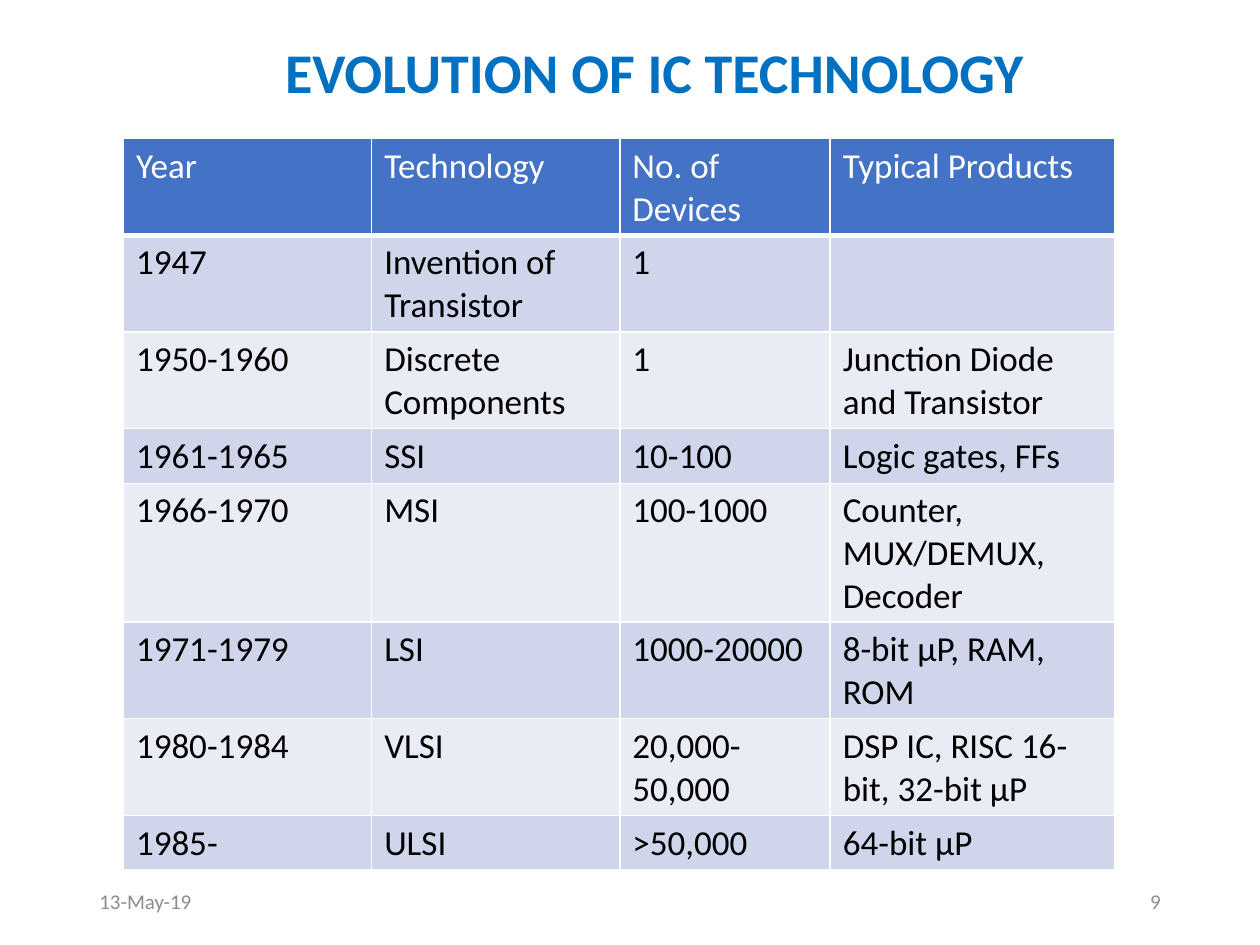
from lxml.etree import SubElement
from pptx import Presentation
from pptx.dml.color import RGBColor
from pptx.enum.text import MSO_ANCHOR, MSO_AUTO_SIZE, PP_ALIGN
from pptx.oxml.ns import qn
from pptx.util import Inches, Pt

# Content
TITLE = "EVOLUTION OF IC TECHNOLOGY"
ROWS = [
    ("Year", "Technology", "No. of Devices", "Typical Products"),
    ("1947", "Invention of Transistor", "1", ""),
    ("1950-1960", "Discrete Components", "1", "Junction Diode and Transistor"),
    ("1961-1965", "SSI", "10-100", "Logic gates, FFs"),
    ("1966-1970", "MSI", "100-1000", "Counter, MUX/DEMUX, Decoder"),
    ("1971-1979", "LSI", "1000-20000", "8-bit µP, RAM, ROM"),
    ("1980-1984", "VLSI", "20,000-50,000", "DSP IC, RISC 16-bit, 32-bit µP"),
    ("1985-", "ULSI", ">50,000", "64-bit µP"),
]
FOOTERS = [  # text, left, alignment
    ("13-May-19", 0.69, PP_ALIGN.LEFT),
    ("9", 7.06, PP_ALIGN.RIGHT),
]
WIDTHS = [1.97, 1.97, 1.67, 2.26]
HEIGHTS = [0.73, 0.73, 0.73, 0.42, 1.05, 0.73, 0.73, 0.42]

# Look
FACE = "Calibri"
BLUE = RGBColor(0x00, 0x70, 0xC0)
HEAD = RGBColor(0x44, 0x72, 0xC4)
BANDS = [RGBColor(0xE9, 0xEB, 0xF5), RGBColor(0xCF, 0xD5, 0xEA)]
WHITE = RGBColor(0xFF, 0xFF, 0xFF)
BLACK = RGBColor(0x00, 0x00, 0x00)
GRAY = RGBColor(0x8C, 0x8C, 0x8C)


def style(para, size, color, bold=False):
    font = para.font
    font.name, font.size, font.bold = FACE, Pt(size), bold
    font.color.rgb = color


def border(cell, base):
    props = cell._tc.get_or_add_tcPr()
    for side, width in (("L", 1), ("R", 1), ("T", 1), ("B", base)):
        line = SubElement(props, qn(f"a:ln{side}"), w=str(Pt(width)))
        fill = SubElement(line, qn("a:solidFill"))
        SubElement(fill, qn("a:srgbClr"), val=str(WHITE))


def add_grid(slide):
    frame = slide.shapes.add_table(
        len(ROWS), len(WIDTHS), Inches(0.98), Inches(1.1),
        Inches(sum(WIDTHS)), Inches(sum(HEIGHTS)))
    table = frame.table
    for col, width in zip(table.columns, WIDTHS):
        col.width = Inches(width)
    for row, height in zip(table.rows, HEIGHTS):
        row.height = Inches(height)
    for r, row in enumerate(ROWS):
        for c, text in enumerate(row):
            cell = table.cell(r, c)
            border(cell, 1 if r else 3)
            cell.fill.solid()
            cell.fill.fore_color.rgb = BANDS[r % 2] if r else HEAD
            cell.text = text
            style(cell.text_frame.paragraphs[0], 20, BLACK if r else WHITE)


def add_title(slide):
    title = slide.shapes.title
    title.left, title.top = Inches(1.26), Inches(0.25)
    title.width, title.height = Inches(7.87), Inches(0.64)
    frame = title.text_frame
    frame.text = TITLE
    frame.vertical_anchor = MSO_ANCHOR.TOP
    frame.auto_size = MSO_AUTO_SIZE.SHAPE_TO_FIT_TEXT
    para = frame.paragraphs[0]
    para.alignment = PP_ALIGN.CENTER
    style(para, 32, BLUE, True)


def add_footer(slide, text, left, align):
    box = slide.shapes.add_textbox(
        Inches(left), Inches(6.95), Inches(2.25), Inches(0.4))
    frame = box.text_frame
    frame.word_wrap = True
    frame.vertical_anchor = MSO_ANCHOR.MIDDLE
    frame.text = text
    para = frame.paragraphs[0]
    para.alignment = align
    style(para, 12, GRAY)


def main():
    deck = Presentation()
    deck.slide_width, deck.slide_height = Inches(10), Inches(7.5)
    slide = deck.slides.add_slide(deck.slide_layouts[5])  # title only
    add_grid(slide)
    add_title(slide)
    for footer in FOOTERS:
        add_footer(slide, *footer)
    deck.save("out.pptx")


if __name__ == "__main__":
    main()
